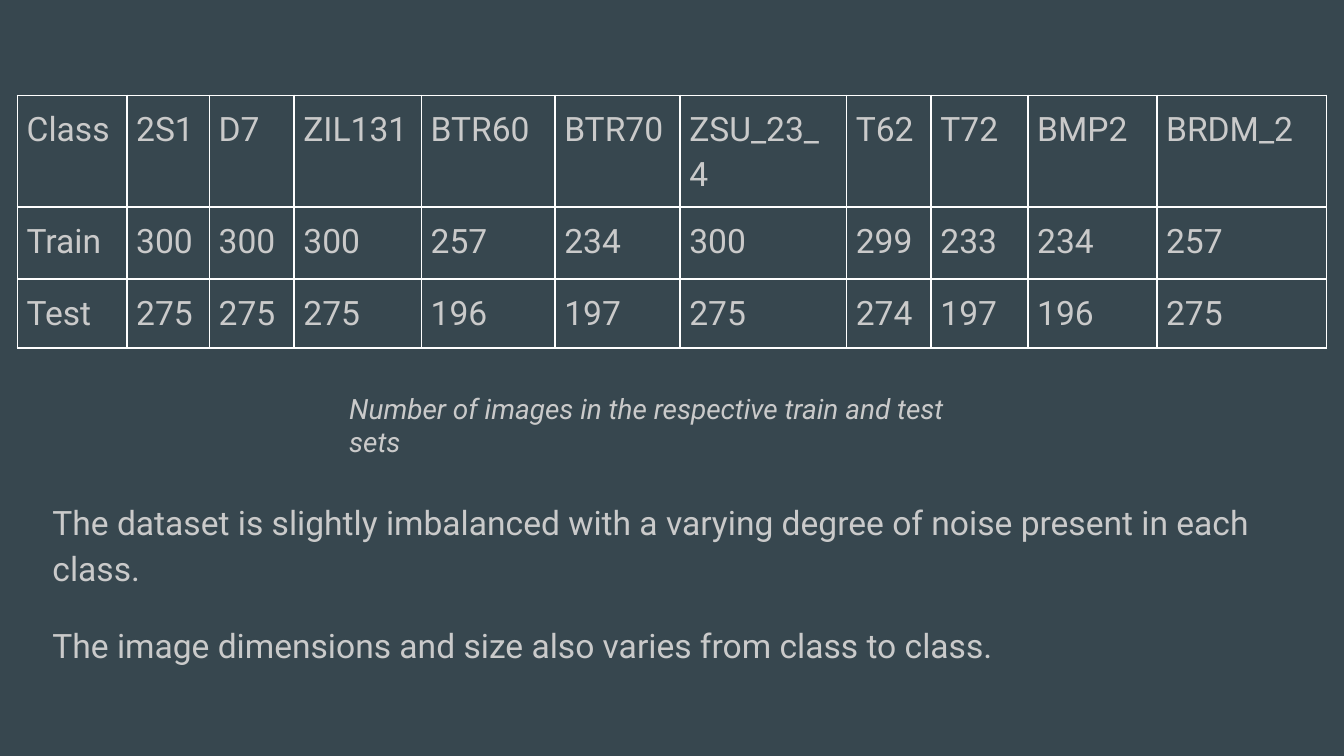
"""Build a slide with a table of image counts per class and two remarks."""
from lxml import etree
from pptx import Presentation
from pptx import util as u
from pptx.dml.color import RGBColor
from pptx.enum import text as t
from pptx.oxml import ns

Pt = u.Pt
HUES = {"back": "37474F", "text": "CACACA", "line": "FFFFFF"}
FONT = "Roboto"

ROWS = [
    ("Class", "2S1", "D7", "ZIL131", "BTR60", "BTR70", "ZSU_23_4",
     "T62", "T72", "BMP2", "BRDM_2"),
    ("Train", 300, 300, 300, 257, 234, 300, 299, 233, 234, 257),
    ("Test", 275, 275, 275, 196, 197, 275, 274, 197, 196, 275),
]
WIDTHS = [58.7, 44.2, 45.4, 68.2, 71.6, 67, 89.2, 45.4, 51.8, 69.1, 91]
HEIGHTS = [58.6, 38.6, 37]
CAPTION = ["Number of images in the respective train and test sets"]
NOTES = [
    "The dataset is slightly imbalanced with a varying degree of noise "
    "present in each class.",
    "The image dimensions and size also varies from class to class.",
]


def write(frame, lines, size, pad, gap=0, after=0, lead=None, slant=False):
    frame.word_wrap = True
    frame.vertical_anchor = t.MSO_ANCHOR.TOP
    frame.margin_left = frame.margin_right = Pt(pad)
    frame.margin_top = frame.margin_bottom = Pt(pad)
    for i, line in enumerate(lines):
        para = frame.add_paragraph() if i else frame.paragraphs[0]
        para.space_before = Pt(gap if i else 0)
        para.space_after = Pt(after)
        para.line_spacing = lead
        run = para.add_run()
        run.text = line
        run.font.size, run.font.name = Pt(size), FONT
        run.font.italic = slant
        run.font.color.rgb = RGBColor.from_string(HUES["text"])


def edge(cell):
    props = cell._tc.get_or_add_tcPr()
    for i, tag in enumerate(("a:lnL", "a:lnR", "a:lnT", "a:lnB")):
        line = etree.Element(ns.qn(tag), w=str(Pt(1)))
        fill = etree.SubElement(line, ns.qn("a:solidFill"))
        etree.SubElement(fill, ns.qn("a:srgbClr"), val=HUES["line"])
        props.insert(i, line)


def grid(slide, left, top):
    frame = slide.shapes.add_table(
        len(ROWS), len(WIDTHS), Pt(left), Pt(top),
        Pt(sum(WIDTHS)), Pt(sum(HEIGHTS)))
    table = frame.table
    table.first_row = table.horz_banding = False
    for col, width in zip(table.columns, WIDTHS):
        col.width = Pt(width)
    for row, high, data in zip(table.rows, HEIGHTS, ROWS):
        row.height = Pt(high)
        for cell, value in zip(row.cells, data):
            write(cell.text_frame, [str(value)], 18, 5, after=16, lead=1.15)
            cell.margin_left = cell.margin_right = Pt(5)
            cell.margin_top = cell.margin_bottom = Pt(5)
            cell.fill.background()
            edge(cell)


def label(slide, box, lines, size, **style):
    shape = slide.shapes.add_textbox(*map(Pt, box))
    write(shape.text_frame, lines, size, 7.2, **style)


def main():
    deck = Presentation()
    deck.slide_width, deck.slide_height = Pt(720), Pt(405)
    slide = deck.slides.add_slide(deck.slide_layouts[6])
    fill = slide.background.fill
    fill.solid()
    fill.fore_color.rgb = RGBColor.from_string(HUES["back"])
    label(slide, (21, 258.5, 671, 72.7), NOTES, 18, gap=16, lead=1.15)
    grid(slide, 9.3, 51.1)
    label(slide, (180, 202.3, 359.3, 32.4), CAPTION, 15, slant=True)
    deck.save("out.pptx")


if __name__ == "__main__":
    main()
